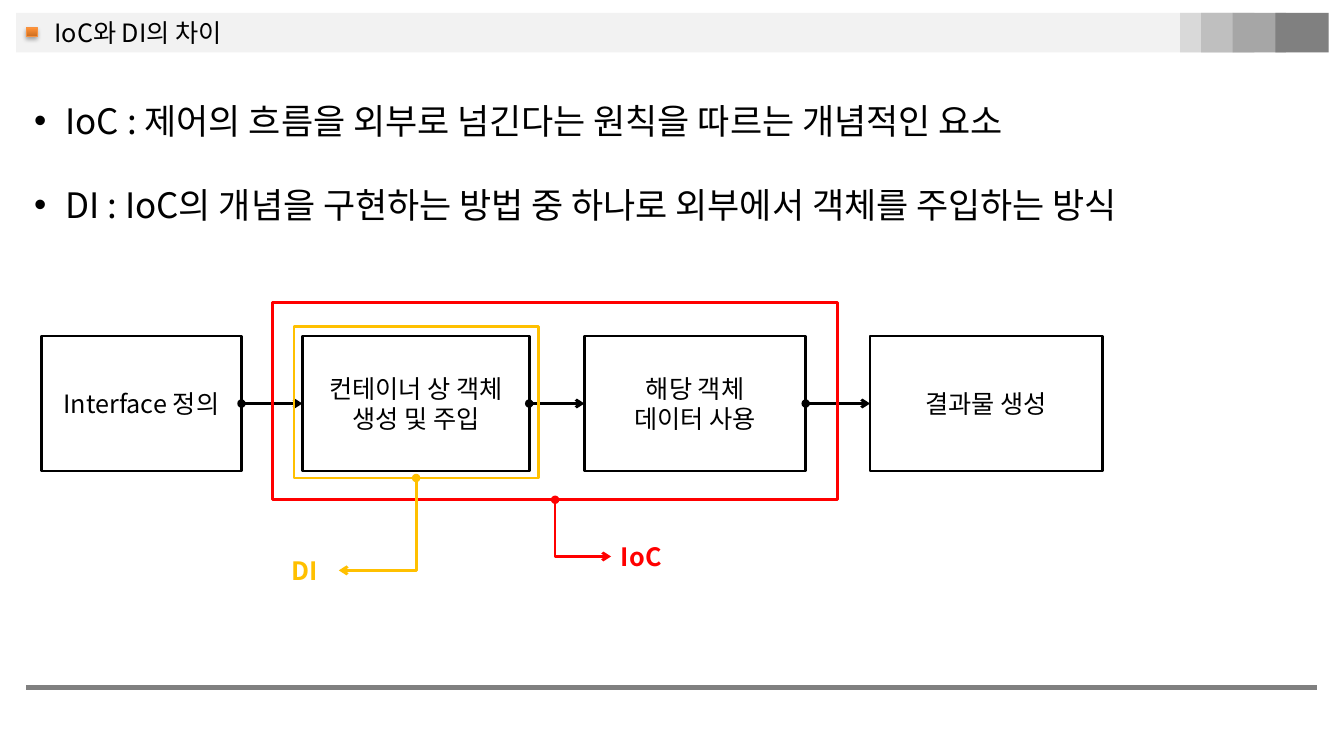
from lxml.etree import SubElement
from pptx import Presentation
from pptx.dml.color import RGBColor
from pptx.enum.shapes import MSO_CONNECTOR, MSO_SHAPE
from pptx.enum.text import MSO_ANCHOR, PP_ALIGN
from pptx.oxml import parse_xml
from pptx.oxml.ns import nsdecls, qn
from pptx.util import Pt

FONT = "Noto Sans CJK KR"
BLACK, RED, AMBER = "000000", "FF0000", "FFC000"
TOP, BOTTOM, LEFT, RIGHT = 0, 2, 1, 3

TITLE = "IoC와 DI의 차이"
BULLETS = [
    "IoC : 제어의 흐름을 외부로 넘긴다는 원칙을 따르는 개념적인 요소",
    "DI : IoC의 개념을 구현하는 방법 중 하나로 외부에서 객체를 주입하는 방식",
]
# left, width, paragraphs
STEPS = [
    (29.5, 143, ["Interface 정의"]),
    (216, 162, ["컨테이너 상 객체 생성 및 주입"]),
    (417.5, 158, ["해당 객체", "데이터 사용"]),
    (621.5, 166, ["결과물 생성"]),
]
STEP_TOP, STEP_HEIGHT = 240, 96.5
# label, colour, frame box, label box, side of the label that the arrow reaches
SCOPES = [
    ("IoC", RED, (194.5, 216, 404, 141), (436.5, 383, 60.5, 29), LEFT),
    ("DI", AMBER, (210, 233, 174.5, 108.5), (201.5, 393, 40.5, 29), RIGHT),
]
HEADER_TOP, HEADER_HEIGHT = 9.2, 28.3
# left, width, colour
HEADER_BANDS = [
    (11.5, 937.5, "F2F2F2"),
    (843, 38, "D9D9D9"),
    (858, 38, "BFBFBF"),
    (880.5, 38, "A6A6A6"),
    (911, 38, "808080"),
]
MARKER_SHADOW = f"""<a:effectLst {nsdecls("a")}>
  <a:outerShdw blurRad="{Pt(3.1)}" dist="{Pt(1.8)}" dir="5400000" rotWithShape="0">
    <a:srgbClr val="000000"><a:alpha val="35000"/></a:srgbClr>
  </a:outerShdw></a:effectLst>"""


def rgb(colour):
    return RGBColor.from_string(colour)


def points(*lengths):
    return [Pt(length) for length in lengths]


def add_rectangle(box, fill=None, line=None, weight=2):
    shape = slide.shapes.add_shape(MSO_SHAPE.RECTANGLE, *points(*box))
    shape.shadow.inherit = False
    if fill:
        shape.fill.solid()
        shape.fill.fore_color.rgb = rgb(fill)
    else:
        shape.fill.background()
    if line:
        shape.line.color.rgb = rgb(line)
        shape.line.width = Pt(weight)
    else:
        shape.line.fill.background()
    return shape


def write(shape, texts, size=18, colour=BLACK, bold=False,
          align=PP_ALIGN.LEFT, anchor=MSO_ANCHOR.TOP):
    frame = shape.text_frame
    frame.word_wrap = True
    frame.vertical_anchor = anchor
    frame.text = "\n".join(texts)
    for paragraph in frame.paragraphs:
        paragraph.alignment = align
        font = paragraph.runs[0].font
        for name, value in {"name": FONT, "size": Pt(size), "bold": bold}.items():
            setattr(font, name, value)
        font.color.rgb = rgb(colour)
        properties = paragraph.runs[0]._r.get_or_add_rPr()
        SubElement(properties, qn("a:ea"), typeface=FONT)


def add_bullets(frame, indent, gap):
    for paragraph in frame.paragraphs:
        properties = paragraph._p.get_or_add_pPr()
        properties.set("marL", str(Pt(indent)))
        properties.set("indent", str(-Pt(indent)))
        SubElement(properties, qn("a:buFont"), typeface="Arial")
        SubElement(properties, qn("a:buChar"), char="•")
    frame.paragraphs[0].space_after = Pt(gap)


def add_line(kind, colour, weight=2, ends=(0, 0, 0, 0)):
    connector = slide.shapes.add_connector(kind, *points(*ends))
    connector.line.color.rgb = rgb(colour)
    connector.line.width = Pt(weight)
    SubElement(connector._element.spPr, qn("a:effectLst"))
    return connector


def join(connector, start, end, head, tail):
    """Attach the connector to two (shape, side) pairs and set its line ends."""
    connector.begin_connect(*start)
    connector.end_connect(*end)
    line = connector.line._get_or_add_ln()
    SubElement(line, qn("a:headEnd"), type=head)
    SubElement(line, qn("a:tailEnd"), type=tail)


def add_header():
    for left, width, colour in HEADER_BANDS:
        add_rectangle((left, HEADER_TOP, width, HEADER_HEIGHT), fill=colour)
    marker = add_rectangle((19, 20, 7.5, 6), line="F69240", weight=0.75)
    marker.fill.gradient()
    marker.fill.gradient_angle = 90
    for stop, colour in zip(marker.fill.gradient_stops, ("CC6E20", "FF9136")):
        stop.color.rgb = rgb(colour)
    properties = marker._element.spPr
    properties.replace(properties.find(qn("a:effectLst")), parse_xml(MARKER_SHADOW))

    title = slide.shapes.title
    title.left, title.top, title.width, title.height = points(31.7, 8.6, 146, 29)
    write(title, [TITLE], anchor=MSO_ANCHOR.MIDDLE)
    title._element.getparent().append(title._element)  # in front of the bands


def add_steps():
    boxes = []
    for left, width, texts in STEPS:
        box = add_rectangle((left, STEP_TOP, width, STEP_HEIGHT), line=BLACK)
        write(box, texts, align=PP_ALIGN.CENTER, anchor=MSO_ANCHOR.MIDDLE)
        boxes.append(box)
    for box, following in zip(boxes, boxes[1:]):
        arrow = add_line(MSO_CONNECTOR.STRAIGHT, BLACK)
        join(arrow, (box, RIGHT), (following, LEFT), "oval", "arrow")


def add_scopes():
    for text, colour, frame_box, label_box, side in SCOPES:
        frame = add_rectangle(frame_box, line=colour)
        label = slide.shapes.add_textbox(*points(*label_box))
        write(label, [text], colour=colour, bold=True)
        arrow = add_line(MSO_CONNECTOR.ELBOW, colour)
        arrow._element.spPr.find(qn("a:prstGeom")).set("prst", "bentConnector2")
        join(arrow, (label, side), (frame, BOTTOM), "arrow", "oval")


presentation = Presentation()
presentation.slide_width, presentation.slide_height = points(960, 540)
slide = presentation.slides.add_slide(presentation.slide_layouts[5])

add_header()
add_line(MSO_CONNECTOR.STRAIGHT, "808080", 4, (18.7, 491, 941, 491))
summary = slide.shapes.add_textbox(*points(17.3, 67.7, 880, 98))
write(summary, BULLETS, size=25)
add_bullets(summary.text_frame, indent=22.5, gap=30)
add_steps()
add_scopes()

presentation.save("out.pptx")
